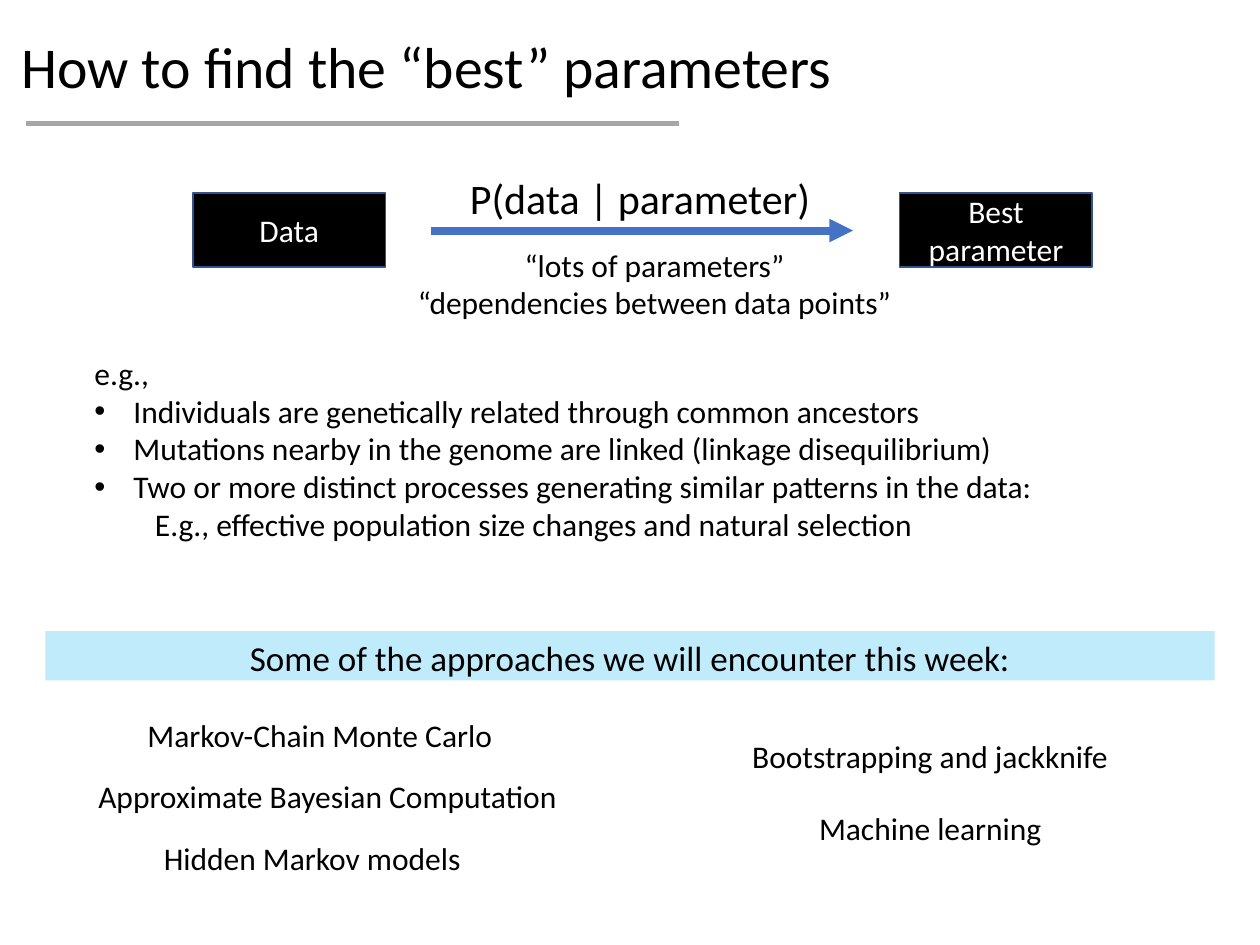
from dataclasses import dataclass
from typing import Optional

from lxml.etree import SubElement
from pptx import Presentation
from pptx.dml.color import RGBColor
from pptx.enum.shapes import MSO_CONNECTOR, MSO_SHAPE
from pptx.enum.text import MSO_ANCHOR, PP_ALIGN
from pptx.oxml.ns import qn
from pptx.util import Inches, Pt


@dataclass(frozen=True)
class Theme:
    font: str = "Calibri"
    ink: str = "000000"
    paper: str = "FFFFFF"
    rule: str = "A6A6A6"
    arrow: str = "4472C4"
    edge: str = "32538F"
    band: str = "00B0F0"
    title: int = 33
    formula: int = 24
    heading: int = 20
    body: int = 18


@dataclass(frozen=True)
class Box:
    col: float
    row: float
    cols: float
    rows: float


@dataclass(frozen=True)
class Line:
    text: str
    left: float = 0
    hang: float = 0


@dataclass(frozen=True)
class Label:
    box: Box
    lines: tuple[Line, ...]
    size: int = Theme.body
    color: str = Theme.ink
    align: PP_ALIGN = PP_ALIGN.LEFT
    anchor: MSO_ANCHOR = MSO_ANCHOR.TOP
    wrap: bool = True
    spacing: float = 1.0


@dataclass(frozen=True)
class Rule:
    start: tuple[float, float]
    end: tuple[float, float]
    color: str
    width: float
    arrow: bool = False


THEME = Theme()
COLUMNS, ROWS = 100, 75

prs = Presentation()
prs.slide_width, prs.slide_height = Inches(10), Inches(7.5)
s = prs.slides.add_slide(prs.slide_layouts[6])


def x(cols: float) -> int:
    return round(prs.slide_width * cols / COLUMNS)


def y(rows: float) -> int:
    return round(prs.slide_height * rows / ROWS)


def place(box: Box) -> tuple[int, int, int, int]:
    return x(box.col), y(box.row), x(box.cols), y(box.rows)


def apply(target: object, values: dict) -> None:
    for name, value in values.items():
        setattr(target, name, value)


def draw_rect(box: Box, fill: str, edge: Optional[str] = None, opacity: int = 100) -> None:
    sp = s.shapes.add_shape(MSO_SHAPE.RECTANGLE, *place(box))
    sp.shadow.inherit = False
    sp.fill.solid()
    sp.fill.fore_color.rgb = RGBColor.from_string(fill)
    if opacity < 100:
        color = sp.fill._xPr.find(qn("a:solidFill"))[0]
        SubElement(color, qn("a:alpha")).set("val", str(opacity * 1000))
    if edge:
        sp.line.color.rgb = RGBColor.from_string(edge)
        sp.line.width = Pt(1)
    else:
        sp.line.fill.background()


def draw_label(label: Label) -> None:
    tf = s.shapes.add_textbox(*place(label.box)).text_frame
    margins = {f"margin_{side}": Inches(0.05) for side in ("left", "right", "top", "bottom")}
    apply(tf, {**margins, "word_wrap": label.wrap, "vertical_anchor": label.anchor})
    for i, line in enumerate(label.lines):
        p = tf.add_paragraph() if i else tf.paragraphs[0]
        apply(p, {"alignment": label.align, "line_spacing": label.spacing})
        if line.left:
            pPr = p._p.get_or_add_pPr()
            pPr.set("marL", str(x(line.left)))
            pPr.set("indent", str(-x(line.hang)))
            if line.hang:
                SubElement(pPr, qn("a:buFont")).set("typeface", "Arial")
                SubElement(pPr, qn("a:buChar")).set("char", "•")
        r = p.add_run()
        r.text = line.text
        apply(r.font, {"name": THEME.font, "size": Pt(label.size)})
        r.font.color.rgb = RGBColor.from_string(label.color)


def draw_rule(rule: Rule) -> None:
    (x1, y1), (x2, y2) = rule.start, rule.end
    cxn = s.shapes.add_connector(MSO_CONNECTOR.STRAIGHT, x(x1), y(y1), x(x2), y(y2))
    cxn.line.color.rgb = RGBColor.from_string(rule.color)
    cxn.line.width = Pt(rule.width)
    if rule.arrow:
        SubElement(cxn.line._get_or_add_ln(), qn("a:tailEnd")).set("type", "triangle")
    SubElement(cxn._element.spPr, qn("a:effectLst"))


def draw_node(col: float, text: str) -> None:
    box = Box(col, 15.3, 15.3, 5.9)
    draw_rect(box, THEME.ink, THEME.edge)
    inner = Box(col + 0.55, box.row, 14.2, box.rows)
    draw_label(Label(inner, (Line(text),), color=THEME.paper,
                     align=PP_ALIGN.CENTER, anchor=MSO_ANCHOR.MIDDLE))


def bullet(text: str) -> Line:
    return Line(text, 3.1, 3.1)


RULES = (
    Rule((2.1, 9.8), (53.9, 9.8), THEME.rule, 3),
    Rule((34.2, 18.3), (67.7, 18.3), THEME.arrow, 4.5, True),
)
NODES = ((15.3, "Data"), (71.4, "Best parameter"))
APPROACHES = (
    (11.2, 56.3, 28.5, "Markov-Chain Monte Carlo"),
    (7.3, 61.2, 37.5, "Approximate Bayesian Computation"),
    (12.5, 66.1, 24.7, "Hidden Markov models"),
    (59.2, 58, 29.4, "Bootstrapping and jackknife"),
    (64.5, 63.7, 18.8, "Machine learning"),
)
LABELS = (
    Label(Box(1.2, 1.1, 97, 8.9), (Line("How to find the “best” parameters"),),
          THEME.title, anchor=MSO_ANCHOR.MIDDLE, spacing=0.9),
    Label(Box(26.1, 13.2, 49.4, 4.3), (Line("P(data | parameter)"),),
          THEME.formula, align=PP_ALIGN.CENTER),
    Label(Box(32.6, 19, 38.7, 6.8),
          (Line("“lots of parameters”"), Line("“dependencies between data points”")),
          align=PP_ALIGN.CENTER, wrap=False),
    Label(Box(4.1, 50, 91.8, 3.7),
          (Line("Some of the approaches we will encounter this week:"),),
          THEME.heading, align=PP_ALIGN.CENTER),
    Label(Box(7, 27.6, 75.7, 16.4), (
        Line("e.g.,"),
        bullet("Individuals are genetically related through common ancestors"),
        bullet("Mutations nearby in the genome are linked (linkage disequilibrium)"),
        bullet("Two or more distinct processes generating similar patterns in the data:"),
        Line("E.g., effective population size changes and natural selection", 4.8),
    ), wrap=False),
)

draw_rect(Box(3.6, 50.1, 92.8, 3.9), THEME.band, opacity=25)
for rule in RULES:
    draw_rule(rule)
for col, text in NODES:
    draw_node(col, text)
for label in LABELS:
    draw_label(label)
for col, row, cols, text in APPROACHES:
    draw_label(Label(Box(col, row, cols, 3.6), (Line(text),), wrap=False))

prs.save("out.pptx")
